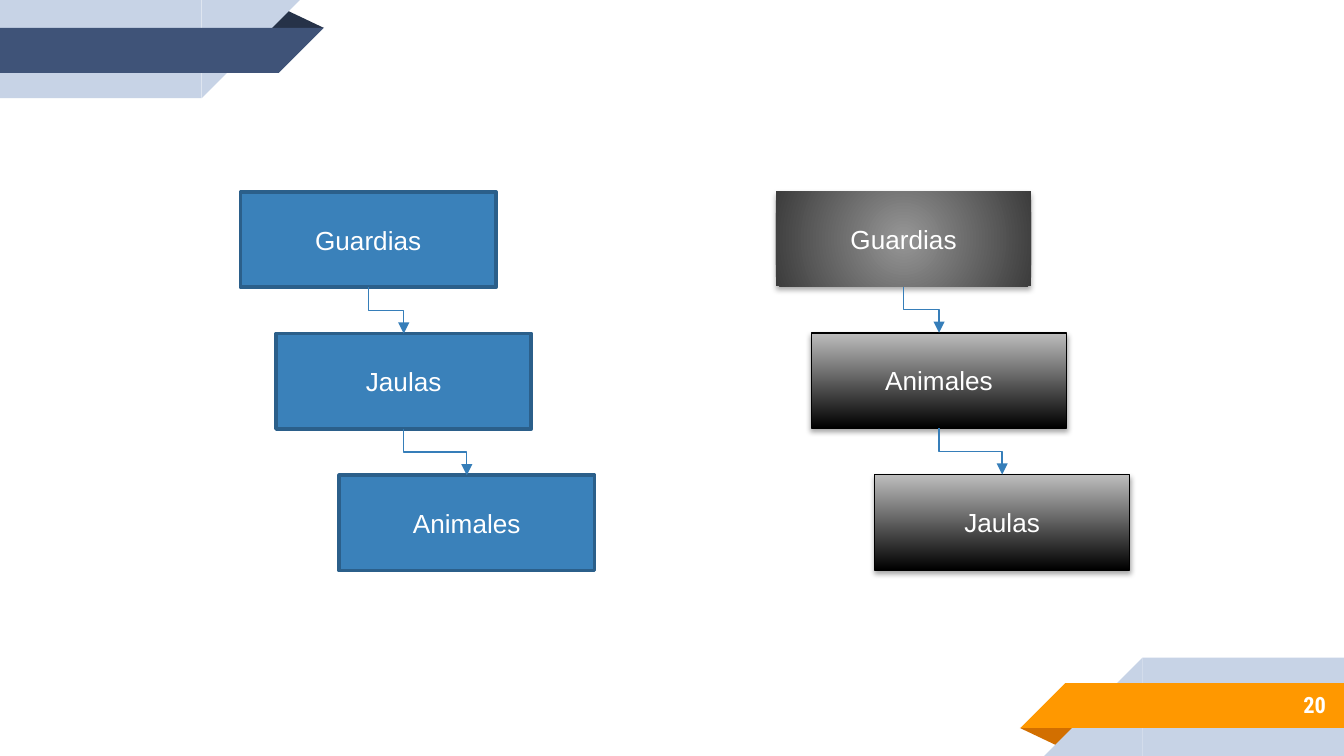
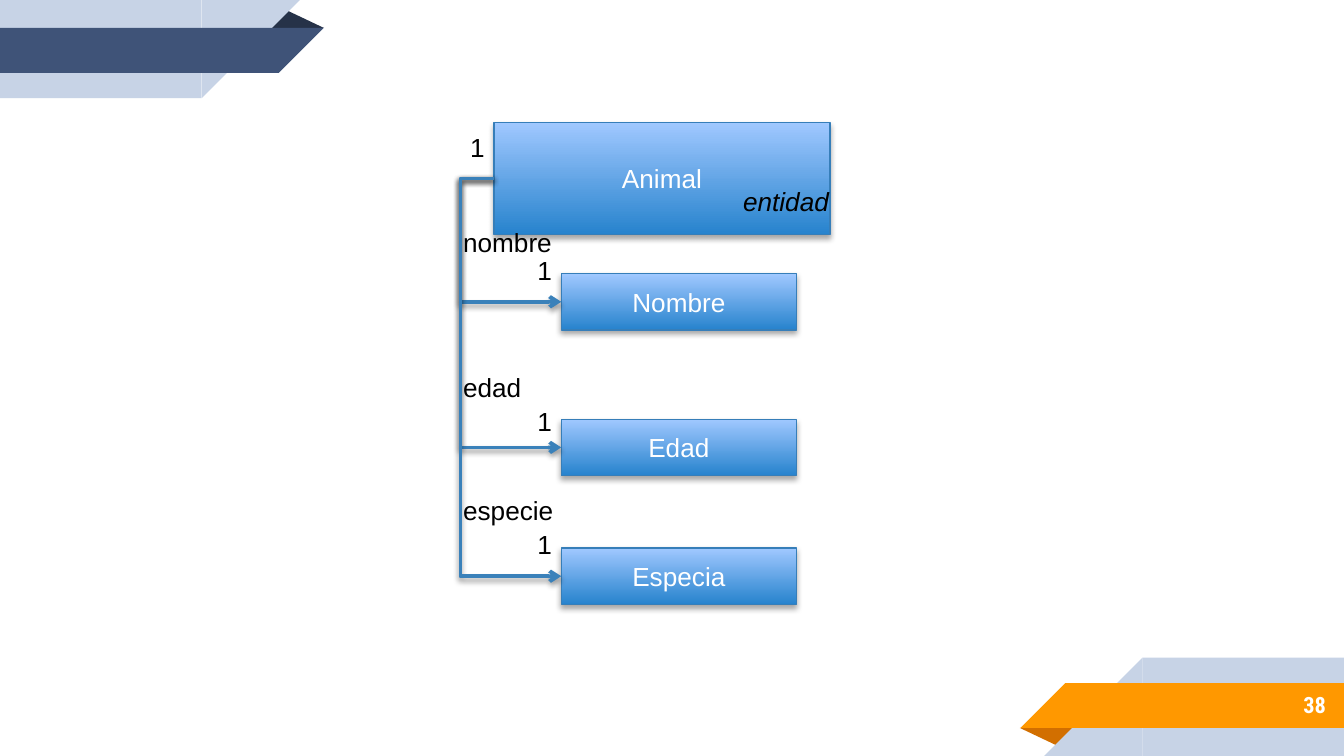
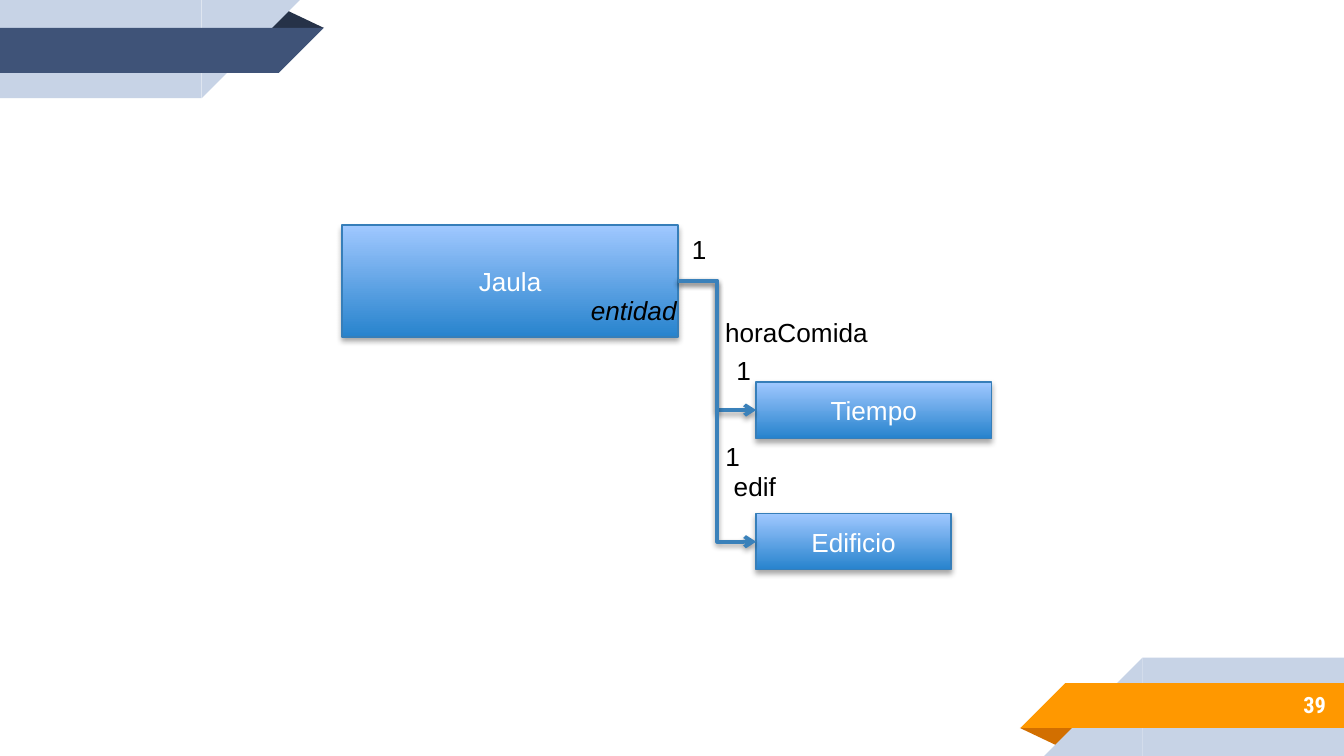
from lxml import etree
from pptx import Presentation
from pptx.dml.color import RGBColor
from pptx.enum.shapes import MSO_CONNECTOR, MSO_SHAPE
from pptx.enum.text import MSO_ANCHOR, MSO_AUTO_SIZE, PP_ALIGN
from pptx.oxml.ns import qn
from pptx.util import Pt

RECT, PEAK, WEDGE = MSO_SHAPE.RECTANGLE, MSO_SHAPE.ISOSCELES_TRIANGLE, MSO_SHAPE.RIGHT_TRIANGLE
ELBOW = MSO_CONNECTOR.ELBOW
LEFT, MID, RIGHT = PP_ALIGN.LEFT, PP_ALIGN.CENTER, PP_ALIGN.RIGHT
TOP, CENTER = MSO_ANCHOR.TOP, MSO_ANCHOR.MIDDLE
GROW = MSO_AUTO_SIZE.SHAPE_TO_FIT_TEXT
WIDE, HIGH = 720, 405
WHITE, BLACK, BLUE, EDGE, PALE = "FFFFFF", "000000", "3A81BA", "367EB9", "C7D3E6"


def hue(code):
    return RGBColor.from_string(code)


def write(shape, text, size=14, font="Arial", color=BLACK, align=LEFT,
          anchor=TOP, bold=False, italic=False, wrap=True):
    frame = shape.text_frame
    frame.word_wrap = wrap
    frame.vertical_anchor = anchor
    par = frame.paragraphs[0]
    par.alignment = align
    run = par.add_run()
    run.text = text
    run.font.size, run.font.name = Pt(size), font
    run.font.bold, run.font.italic = bold, italic
    run.font.color.rgb = hue(color)


# Corner ribbon: kind, left, top, width, height, turn, top colour, bottom colour
ribbon = [
    (PEAK, 142.6, 5, 31, 10, 0, "263248", "D26F00"),
    (RECT, 0, 0, 108, 52.6, 0, PALE, PALE),
    (WEDGE, 108, 0, 52.6, 52.6, 90, PALE, PALE),
    (RECT, 0, 15, 149.4, 24, 0, "3F5378", "FF9800"),
    (WEDGE, 149.4, 15, 24, 24, 90, "3F5378", "FF9800"),
]

# Box skins: first colour, last colour, line colour, line width
skins = {
    "flat": (BLUE, None, "2B5F8A", 2),
    "round": ("969696", "3C3C3C", None, 0),
    "dark": ("000000", "BDBDBD", BLACK, 0.75),
    "sky": ("2783CD", "A0C8FF", EDGE, 0.75),
}

# Two stairs of boxes
stairs = []
for left, top, names, looks in [
    (128.9, 102.8, ("Guardias", "Jaulas", "Animales"), ("flat", "flat", "flat")),
    (415.7, 102.4, ("Guardias", "Animales", "Jaulas"), ("round", "dark", "dark")),
]:
    for row, shift in enumerate((0, 19, 52.8)):
        stairs.append((names[row], left + shift, top + 75.9 * row, 136.8, 51.1, looks[row]))

# Slides: number, boxes, joined sides, links, bend, labels
plans = [
    ("20", stairs, (2, 0), [(0, 1), (1, 2), (3, 4), (4, 5)], 50000, []),
    ("38", [
        ("Animal", 264.7, 65.6, 180, 60, "sky"),
        ("Nombre", 300.7, 146.6, 126, 30.2, "sky"),
        ("Edad", 300.7, 224.6, 126, 30.2, "sky"),
        ("Especia", 300.7, 293.6, 126, 30.2, "sky"),
    ], (1, 1), [(0, 1), (0, 2), (0, 3)], -50000, [
        ("1", 280.8, 132.5, 23.8, 28.8),
        ("1", 280.8, 213.6, 23.8, 28.8),
        ("1", 280.8, 279.4, 23.8, 28.8),
        ("nombre", 241, 117.6, 62, 24.2),
        ("edad", 241, 195.6, 46, 24.2),
        ("especie", 241, 261.4, 63.4, 24.2),
        ("1", 244.8, 66.8, 23.8, 28.8),
        ("entidad", 391, 95.8, 64.8, 24.2),
    ]),
    ("39", [
        ("Jaula", 183.3, 120.6, 180, 60, "sky"),
        ("Tiempo", 405.1, 204.6, 126, 30.2, "sky"),
        ("Edificio", 405.1, 275.1, 104.4, 30.2, "sky"),
    ], (3, 1), [(0, 1), (0, 2)], 50000, [
        ("1", 387.4, 186.5, 23.8, 28.8),
        ("horaComida", 381.4, 166.2, 91.4, 24.2),
        ("1", 363.6, 121.4, 23.8, 28.8),
        ("entidad", 309.4, 154, 66.2, 24.2),
        ("1", 381.6, 232.4, 23.8, 28.8),
        ("edif", 386, 248.5, 37.4, 24.2),
    ]),
]

deck = Presentation()
deck.slide_width, deck.slide_height = Pt(WIDE), Pt(HIGH)

for number, boxes, sides, links, bend, labels in plans:
    slide = deck.slides.add_slide(deck.slide_layouts[6])
    shapes = slide.shapes
    stairway = sides == (2, 0)

    # Ribbons: the lower one is the upper one turned half round
    for low in (True, False):
        for kind, x, y, w, h, turn, upper, lower in ribbon:
            if low:
                x, y, turn = WIDE - x - w, HIGH - y - h, turn + 180
            band = shapes.add_shape(kind, Pt(x), Pt(y), Pt(w), Pt(h))
            band.shadow.inherit = False
            band.fill.solid()
            band.fill.fore_color.rgb = hue(lower if low else upper)
            band.line.fill.background()
            if kind == PEAK:
                band.adjustments[0] = 0.32
            if kind != RECT:
                band.rotation = turn

    # Slide number
    page = shapes.add_textbox(Pt(600), Pt(365), Pt(117.4), Pt(25.2))
    page.text_frame.margin_top = page.text_frame.margin_bottom = Pt(7.2)
    write(page, number, size=12, font="Roboto Condensed", color=WHITE,
          align=RIGHT, anchor=CENTER, bold=True)

    # Boxes
    nodes, shades = [], []
    for name, x, y, w, h, skin in boxes:
        first, last, edge, width = skins[skin]
        node = shapes.add_shape(RECT, Pt(x), Pt(y), Pt(w), Pt(h))
        if last:
            node.fill.gradient()
            node.fill.gradient_angle = 90
            for stop, code in zip(node.fill.gradient_stops, (first, last)):
                stop.color.rgb = hue(code)
        else:
            node.fill.solid()
            node.fill.fore_color.rgb = hue(first)
        if skin == "round":
            grad = node._element.spPr.find(qn("a:gradFill"))
            grad.remove(grad.find(qn("a:lin")))
            ring = etree.SubElement(grad, qn("a:path"), path="circle")
            etree.SubElement(ring, qn("a:fillToRect"), l="50000", t="50000", r="50000", b="50000")
        if edge:
            node.line.color.rgb = hue(edge)
            node.line.width = Pt(width)
        else:
            node.line.fill.background()
        write(node, name, color=WHITE, align=MID, anchor=CENTER)
        nodes.append(node)
        shades.append((node, 35 if last else 0, 1.8))

    # Elbow arrows
    for start, end in links:
        link = shapes.add_connector(ELBOW, 0, 0, 0, 0)
        link.begin_connect(nodes[start], sides[0])
        link.end_connect(nodes[end], sides[1])
        link.line.color.rgb = hue(EDGE if stairway else BLUE)
        link.line.width = Pt(0.75 if stairway else 2)
        frame = link._element.spPr
        etree.SubElement(frame.find(qn("a:ln")), qn("a:tailEnd"),
                         type="triangle" if stairway else "arrow")
        geom = frame.find(qn("a:prstGeom"))
        etree.SubElement(geom.find(qn("a:avLst")), qn("a:gd"), name="adj1", fmla=f"val {bend}")
        if stairway:  # stand the elbow upright
            x, y, w, h = link.left, link.top, link.width, link.height
            link.left, link.top = x + (w - h) // 2, y + (h - w) // 2
            link.width, link.height = h, w
            place = frame.find(qn("a:xfrm"))
            place.set("rot", "16200000")
            place.set("flipH", "1")
        shades.append((link, 0 if stairway else 38, 1.6))

    # Soft shadows
    for part, alpha, drop in shades:
        glow = etree.SubElement(part._element.spPr, qn("a:effectLst"))
        if alpha:
            cast = etree.SubElement(glow, qn("a:outerShdw"), blurRad=str(Pt(3.1)),
                                    dist=str(Pt(drop)), dir="5400000", rotWithShape="0")
            tone = etree.SubElement(cast, qn("a:srgbClr"), val=BLACK)
            etree.SubElement(tone, qn("a:alpha"), val=str(alpha * 1000))

    # Labels
    for text, x, y, w, h in labels:
        label = shapes.add_textbox(Pt(x), Pt(y), Pt(w), Pt(h))
        label.text_frame.auto_size = GROW
        kind = text == "entidad"
        write(label, text, italic=kind, wrap=kind)

deck.save("out.pptx")
